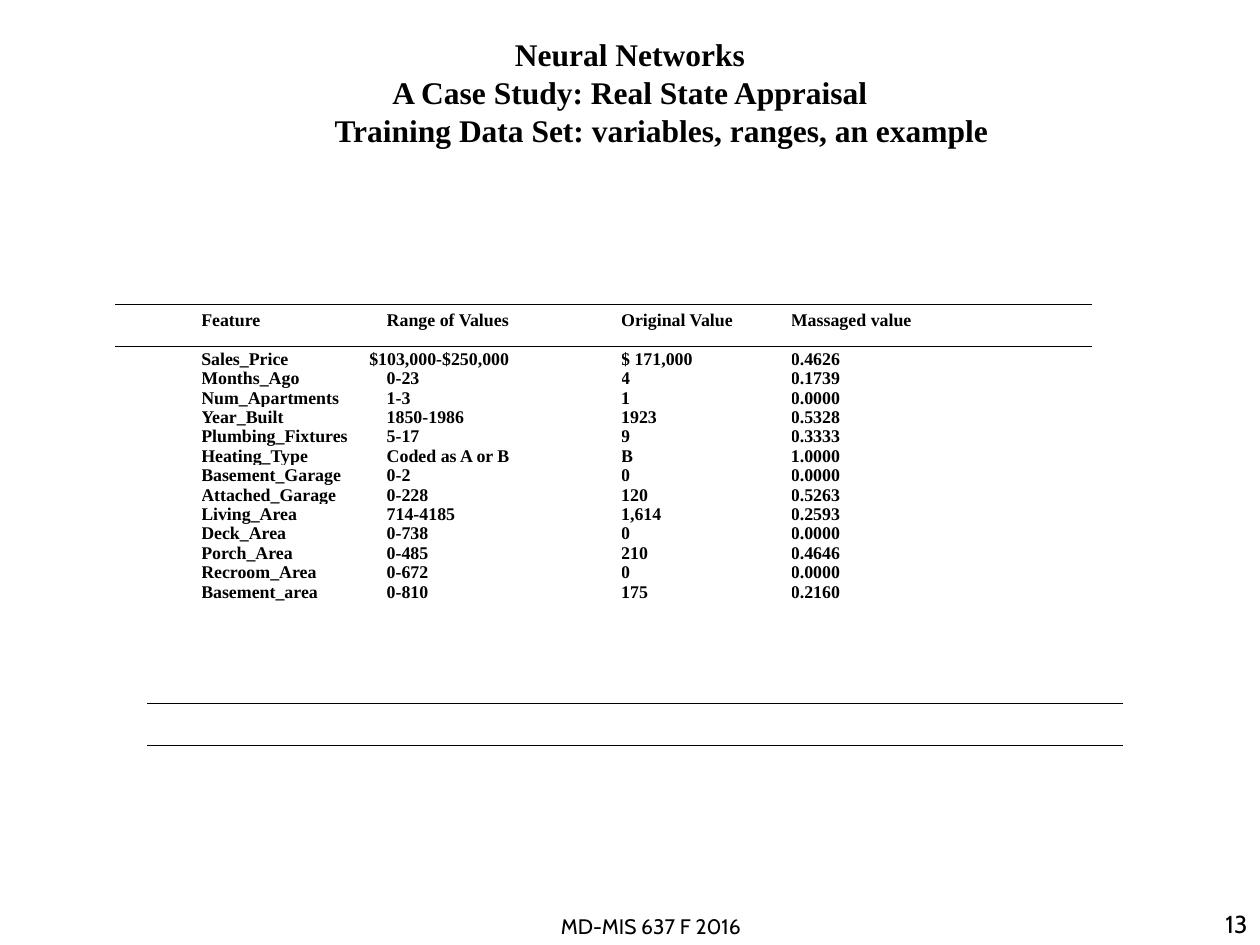
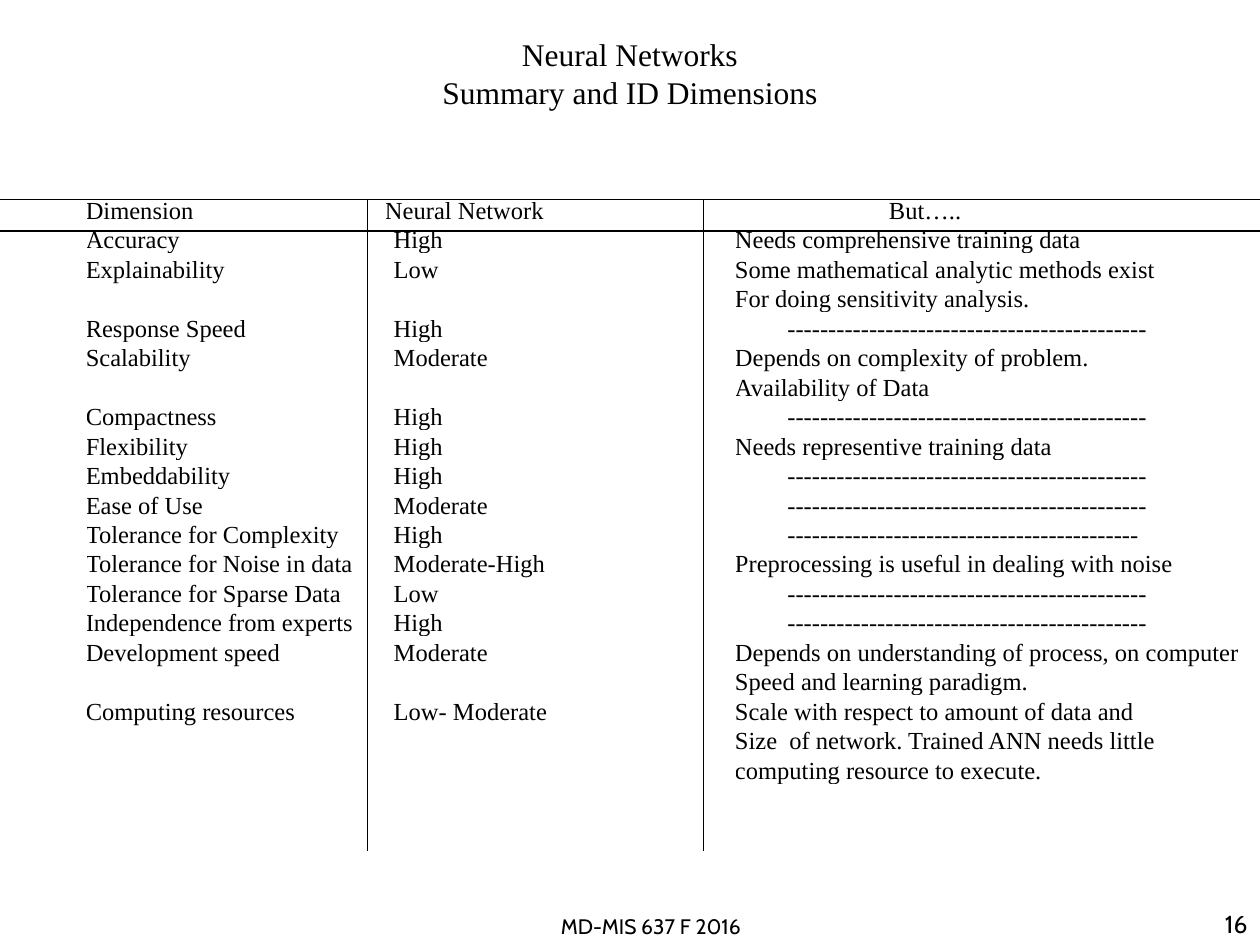
from pptx import Presentation
from pptx.dml import color
from pptx.enum import shapes, text
from pptx.util import Pt
from lxml import etree

A = "http://schemas.openxmlformats.org/drawingml/2006/main"
SERIF, SANS = "Times New Roman", "Cabin"
INK = "000000"
LEFT, MID, RIGHT = text.PP_ALIGN.LEFT, text.PP_ALIGN.CENTER, text.PP_ALIGN.RIGHT
PITCH = 1.2
DASH = "-" * 44


def hue(code):
    return color.RGBColor.from_string(code)


class Deck:
    def __init__(self):
        self.prs = Presentation()
        self.prs.slide_width, self.prs.slide_height = Pt(720), Pt(540)
        self.slide = None

    def page(self, title, number, bold=False):
        self.slide = self.prs.slides.add_slide(self.prs.slide_layouts[6])
        self.label("MD-MIS 637 F 2016", (258, 510, 228, 30), 12, MID)
        self.label(number, (570, 504, 150, 36), 14, RIGHT)
        return self.title(title, bold)

    def style(self, frame, size, font=SERIF, align=LEFT, bold=False, pitch=None):
        for para in frame.paragraphs:
            para.alignment = align
            if pitch:
                para.line_spacing = Pt(pitch)
            for run in para.runs:
                run.font.size, run.font.name, run.font.bold = Pt(size), font, bold
                run.font.color.rgb = hue(INK)

    def box(self, words, place):
        frame = self.slide.shapes.add_textbox(*map(Pt, place)).text_frame
        frame.word_wrap = True
        frame.text = words
        return frame

    def label(self, words, place, size, align):
        frame = self.box(words, place)
        frame.vertical_anchor = text.MSO_ANCHOR.BOTTOM
        self.style(frame, size, SANS, align)

    def title(self, words, bold):
        frame = self.box(words, (12, 16.5, 696, 72))
        self.style(frame, 18, align=MID, bold=bold, pitch=18 * PITCH)
        return frame

    def line(self, x1, y1, x2, y2):
        line = self.slide.shapes.add_connector(
            shapes.MSO_CONNECTOR.STRAIGHT, *map(Pt, (x1, y1, x2, y2)))
        line.line.color.rgb = hue(INK)
        line.line.width = Pt(0.75)
        etree.SubElement(line._element.spPr, f"{{{A}}}effectLst")

    def table(self, rows, edges, top, size, pitch, head, bold=False, shift=None):
        shift = shift or {}
        highs = [pitch * (1 + max(cell.count("\n") for cell in row)) for row in rows]
        highs[0] = head
        grid = self.slide.shapes.add_table(
            len(rows), len(edges) - 1, Pt(edges[0]), Pt(top),
            Pt(edges[-1] - edges[0]), Pt(sum(highs))).table
        grid.first_row = grid.horz_banding = False
        for col, start, end in zip(grid.columns, edges, edges[1:]):
            col.width = Pt(end - start)
        for line, high, row in zip(grid.rows, highs, rows):
            line.height = Pt(high)
            for cell, words in zip(line.cells, row):
                cell.fill.background()
                cell.margin_top = cell.margin_bottom = cell.margin_right = 0
                cell.margin_left = Pt(shift.get(words, 0))
                cell.text_frame.text = words
                self.style(cell.text_frame, size, bold=bold, pitch=pitch)
                if not words:
                    cell.text_frame.paragraphs[0].font.size = Pt(size)


HOMES = [
    ("Feature", "Range of Values", "Original Value", "Massaged value"),
    ("Sales_Price", "$103,000-$250,000", "$ 171,000", "0.4626"),
    ("Months_Ago", "0-23", "4", "0.1739"),
    ("Num_Apartments", "1-3", "1", "0.0000"),
    ("Year_Built", "1850-1986", "1923", "0.5328"),
    ("Plumbing_Fixtures", "5-17", "9", "0.3333"),
    ("Heating_Type", "Coded as A or B", "B", "1.0000"),
    ("Basement_Garage", "0-2", "0", "0.0000"),
    ("Attached_Garage", "0-228", "120", "0.5263"),
    ("Living_Area", "714-4185", "1,614", "0.2593"),
    ("Deck_Area", "0-738", "0", "0.0000"),
    ("Porch_Area", "0-485", "210", "0.4646"),
    ("Recroom_Area", "0-672", "0", "0.0000"),
    ("Basement_area", "0-810", "175", "0.2160"),
]

TRAITS = [
    ("Dimension", "Neural Network", "But….."),
    ("Accuracy", "High", "Needs comprehensive training data"),
    ("Explainability", "Low",
     "Some mathematical analytic methods exist\nFor doing sensitivity analysis."),
    ("Response Speed", "High", DASH),
    ("Scalability", "Moderate",
     "Depends on complexity of problem.\nAvailability of Data"),
    ("Compactness", "High", DASH),
    ("Flexibility", "High", "Needs representive training data"),
    ("Embeddability", "High", DASH),
    ("Ease of Use", "Moderate", DASH),
    ("Tolerance for Complexity", "High", DASH[1:]),
    ("Tolerance for Noise in data", "Moderate-High",
     "Preprocessing is useful in dealing with noise"),
    ("Tolerance for Sparse Data", "Low", DASH),
    ("Independence from experts", "High", DASH),
    ("Development speed", "Moderate",
     "Depends on understanding of process, on computer\nSpeed and learning paradigm."),
    ("Computing resources", "Low- Moderate",
     "Scale with respect to amount of data and\n"
     "Size  of network. Trained ANN needs little\n"
     "computing resource to execute."),
]


def homes(deck):
    frame = deck.page("Neural Networks\nA Case Study: Real State Appraisal\n"
                      "Training Data Set: variables, ranges, an example", "13", True)
    frame.paragraphs[2]._p.get_or_add_pPr().set("marL", str(Pt(36)))
    deck.table(HOMES, (115, 221, 355, 452, 630), 177.8, 10.2, 11.05, 22.1, bold=True,
               shift={"$103,000-$250,000": -10})
    for left, top in ((66, 174), (84, 402)):
        for y in (top, top + 24):
            deck.line(left, y, left + 558, y)


def traits(deck):
    deck.page("Neural Networks\nSummary and ID Dimensions", "16")
    deck.table(TRAITS, (49, 220, 420, 720), 111.6, 14, 16.8, 16.8,
               shift={"But…..": 88, DASH: 30, DASH[1:]: 30,
                      **{row[1]: 5 for row in TRAITS[1:]}})
    for x in (210, 402):
        deck.line(x, 114, x, 486)
    for y in (114, 132):
        deck.line(0, y, 720, y)


def main():
    deck = Deck()
    homes(deck)
    traits(deck)
    deck.prs.save("out.pptx")


if __name__ == "__main__":
    main()
